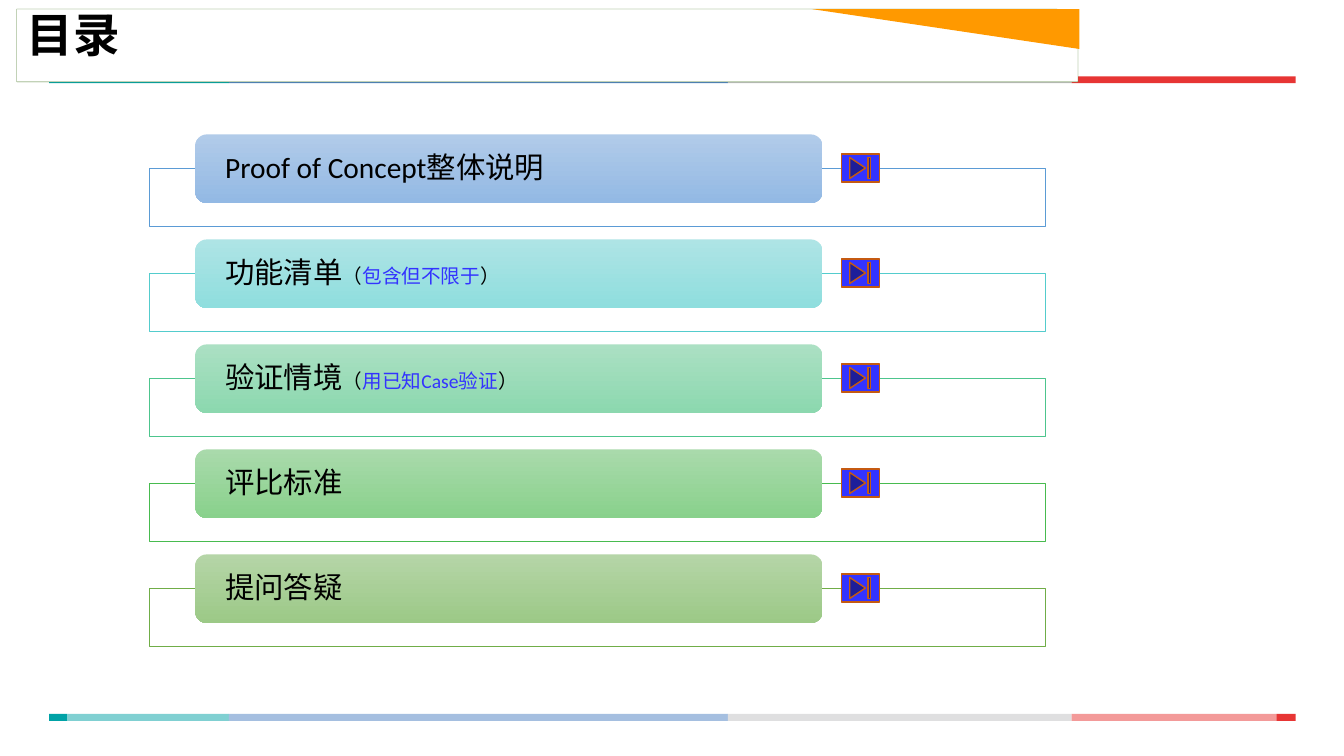
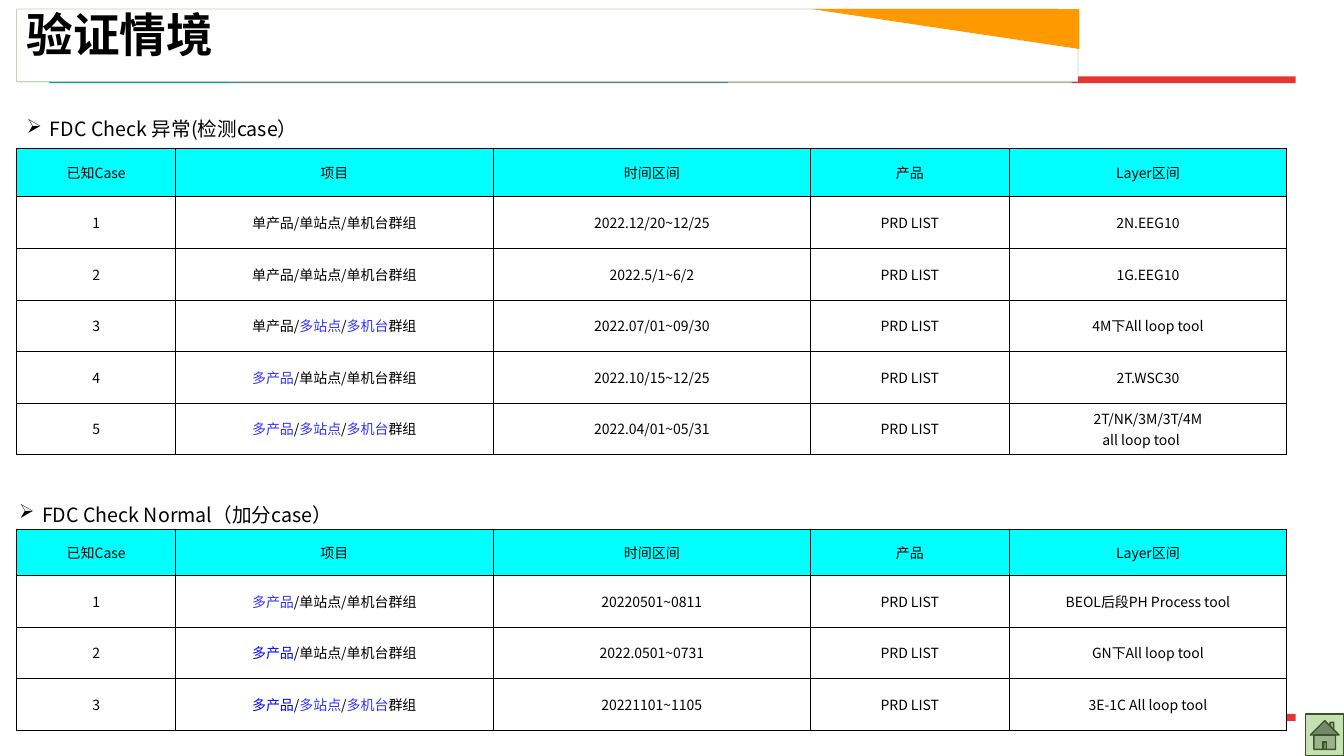
"""Build a contents slide and a test case slide with shared bands and title."""
from dataclasses import dataclass
from itertools import pairwise

from lxml.etree import SubElement
from pptx import Presentation
from pptx.dml.color import RGBColor
from pptx.enum.shapes import MSO_SHAPE
from pptx.enum.text import MSO_ANCHOR, PP_ALIGN
from pptx.oxml.ns import qn
from pptx.util import Pt

BLACK, WHITE, BLUE, CYAN = "000000", "FFFFFF", "3333FF", "00FFFF"
INKS = {"*": BLUE, "#": "0000FF"}
BANDS = ("00A2A6", "4C80C2", "C0C0C1", "E73534")
EDGES = (35, 163.5, 520, 765.5, 925.5)
FONT = "Noto Sans CJK SC"
LATIN = "Calibri"
STEP = 75
HEADS = ("已知Case", "项目", "时间区间", "产品", "Layer区间")
WIDTHS = (113.4, 226.8, 226.8, 141.8, 198.4)
ROW = 36.86
LIST = "PRD LIST"


@dataclass(frozen=True)
class Item:
    text: str
    line: str
    light: str
    dark: str


@dataclass(frozen=True)
class Grid:
    title: str
    left: float
    top: float
    start: float
    head: float
    rows: tuple


ITEMS = (
    Item("Proof of Concept整体说明", "5B9BD5", "B1CBE9", "93B9E4"),
    Item("功能清单|（|*包含但不限于|）", "54CCCD", "AEE4E5", "8FDEDE"),
    Item("验证情境|（|*用已知Case验证|）", "4DC58D", "ABE0C3", "8CD8AF"),
    Item("评比标准", "48BB4F", "A9DAAB", "89D18C"),
    Item("提问答疑", "70AD47", "B5D5A7", "9CC987"),
)
GRIDS = (
    Grid("FDC Check 异常(检测case）", 12, 71.5, 105.8, 34.8, (
        ("单产品/单站点/单机台群组", "2022.12/20~12/25", "2N.EEG10"),
        ("单产品/单站点/单机台群组", "2022.5/1~6/2", "1G.EEG10"),
        ("单产品/|*多站点|/|*多机台|群组", "2022.07/01~09/30", "4M下All loop tool"),
        ("*多产品|/单站点/单机台群组", "2022.10/15~12/25", "2T.WSC30"),
        ("*多产品|/|*多站点|/|*多机台|群组", "2022.04/01~05/31",
         "2T/NK/3M/3T/4M\nall loop tool　"),
    )),
    Grid("FDC Check Normal（加分case）", 6.5, 347, 378.2, 32.8, (
        ("*多产品|/单站点/单机台群组", "20220501~0811", "BEOL后段PH Process tool"),
        ("#多产品|/单站点/单机台群组", "2022.0501~0731", "GN下All loop tool"),
        ("#多产品|/|*多站点|/|*多机台|群组", "20221101~1105", "3E-1C All loop tool"),
    )),
)


def tint(text: str) -> RGBColor:
    return RGBColor.from_string(text)


def paint(shape, fill: str, line: str = "", width: float = 1, alpha: int = 100) -> None:
    shape.shadow.inherit = False
    shape.fill.solid()
    shape.fill.fore_color.rgb = tint(fill)
    if alpha < 100:
        hue = shape.fill._xPr.find(qn("a:solidFill"))[0]
        SubElement(hue, qn("a:alpha"), val=str(alpha * 1000))
    if line:
        shape.line.color.rgb = tint(line)
        shape.line.width = Pt(width)
    else:
        shape.line.fill.background()


def draw(slide, kind, left: float, top: float, wide: float, high: float):
    return slide.shapes.add_shape(kind, Pt(left), Pt(top), Pt(wide), Pt(high))


def write(para, text: str, size: float, font: str = FONT, tail: float = 0) -> None:
    for spot, part in enumerate(text.split("|")):
        run = para.add_run()
        run.text = part.lstrip("*#")
        run.font.size = Pt(tail if spot and tail else size)
        run.font.name = font
        run.font.color.rgb = tint(INKS.get(part[0], BLACK))
        SubElement(run._r.get_or_add_rPr(), qn("a:ea"), typeface=FONT)


def label(slide, left: float, top: float, wide: float, high: float):
    box = slide.shapes.add_textbox(Pt(left), Pt(top), Pt(wide), Pt(high))
    box.text_frame.word_wrap = True
    return box.text_frame


def start(deck, title: str):
    slide = deck.slides.add_slide(deck.slide_layouts[6])
    for top in (54.5, 510):
        for (left, right), fill in zip(pairwise(EDGES), BANDS):
            paint(draw(slide, MSO_SHAPE.RECTANGLE, left, top, right - left, 5), fill)
    paint(draw(slide, MSO_SHAPE.RECTANGLE, 48, 500, 864, 29), WHITE, alpha=50)
    panel = draw(slide, MSO_SHAPE.SNIP_1_RECTANGLE, 12, 6.5, 758, 52)
    panel.adjustments[0] = 0.29
    paint(panel, WHITE, "548235", 0.25)
    pen = slide.shapes.build_freeform(Pt(771), Pt(6.5))
    pen.add_line_segments([(Pt(580), Pt(6.5)), (Pt(771), Pt(35))], close=True)
    paint(pen.convert_to_shape(), "FF9900")
    frame = label(slide, 12, 8.5, 629, 49)
    frame.margin_top = 0
    para = frame.paragraphs[0]
    para.line_spacing = 0.9
    write(para, title, 33.3)
    para.runs[0].font.bold = True
    return slide


def entry(slide, item: Item, top: float) -> None:
    box = draw(slide, MSO_SHAPE.RECTANGLE, 107, top + 24, 640, 42)
    paint(box, WHITE, item.line, 0.5, 90)
    bar = draw(slide, MSO_SHAPE.ROUNDED_RECTANGLE, 139.5, top, 448, 49)
    paint(bar, item.light)
    bar.fill.gradient()
    bar.fill.gradient_angle = 270
    for stop, hue in zip(bar.fill.gradient_stops, (item.light, item.dark)):
        stop.color.rgb = tint(hue)
    frame = bar.text_frame
    frame.margin_left = frame.margin_right = Pt(19)
    frame.margin_top = frame.margin_bottom = 0
    frame.vertical_anchor = MSO_ANCHOR.MIDDLE
    para = frame.paragraphs[0]
    para.alignment = PP_ALIGN.LEFT
    para.line_spacing = 0.9
    write(para, item.text, 21, LATIN, 14)
    end = draw(slide, MSO_SHAPE.ACTION_BUTTON_END, 601, top + 14, 27, 20)
    paint(end, BLUE, "C55A11")


def fill(cell, text: str, back: str) -> None:
    props = cell._tc.get_or_add_tcPr()
    for side in "LRTB":
        edge = SubElement(props, qn(f"a:ln{side}"), w=str(Pt(0.5)))
        SubElement(SubElement(edge, qn("a:solidFill")), qn("a:srgbClr"), val=BLACK)
    cell.fill.solid()
    cell.fill.fore_color.rgb = tint(back)
    cell.margin_left = cell.margin_right = cell.margin_top = cell.margin_bottom = 0
    cell.vertical_anchor = MSO_ANCHOR.MIDDLE
    frame = cell.text_frame
    for spot, line in enumerate(text.split("\n")):
        para = frame.add_paragraph() if spot else frame.paragraphs[0]
        para.alignment = PP_ALIGN.CENTER
        write(para, line, 10)


def chart(slide, grid: Grid) -> None:
    rows = [HEADS] + [(str(num), what, when, LIST, layer)
                      for num, (what, when, layer) in enumerate(grid.rows, 1)]
    high = grid.head + ROW * len(grid.rows)
    table = slide.shapes.add_table(len(rows), len(HEADS), Pt(12), Pt(grid.start),
                                   Pt(sum(WIDTHS)), Pt(high)).table
    table.first_row = table.horz_banding = False
    for col, wide in zip(table.columns, WIDTHS):
        col.width = Pt(wide)
    for spot, row in enumerate(rows):
        table.rows[spot].height = Pt(ROW if spot else grid.head)
        for col, text in enumerate(row):
            fill(table.cell(spot, col), text, WHITE if spot else CYAN)


def topic(slide, grid: Grid) -> None:
    para = label(slide, grid.left, grid.top, 711, 29.5).paragraphs[0]
    para.line_spacing = 1.5
    props = para._p.get_or_add_pPr()
    props.set("marL", str(Pt(16.5)))
    props.set("indent", str(-Pt(16.5)))
    SubElement(props, qn("a:buChar"), char="➢")
    write(para, grid.title, 14)


def main() -> None:
    deck = Presentation()
    deck.slide_width, deck.slide_height = Pt(960), Pt(540)
    slide = start(deck, "目录")
    for spot, item in enumerate(ITEMS):
        entry(slide, item, 96 + STEP * spot)
    slide = start(deck, "验证情境")
    home = draw(slide, MSO_SHAPE.ACTION_BUTTON_HOME, 932.5, 510, 27.5, 30)
    paint(home, "C5E0B4", "385723")
    for grid in GRIDS:
        chart(slide, grid)
        topic(slide, grid)
    deck.save("out.pptx")


if __name__ == "__main__":
    main()
